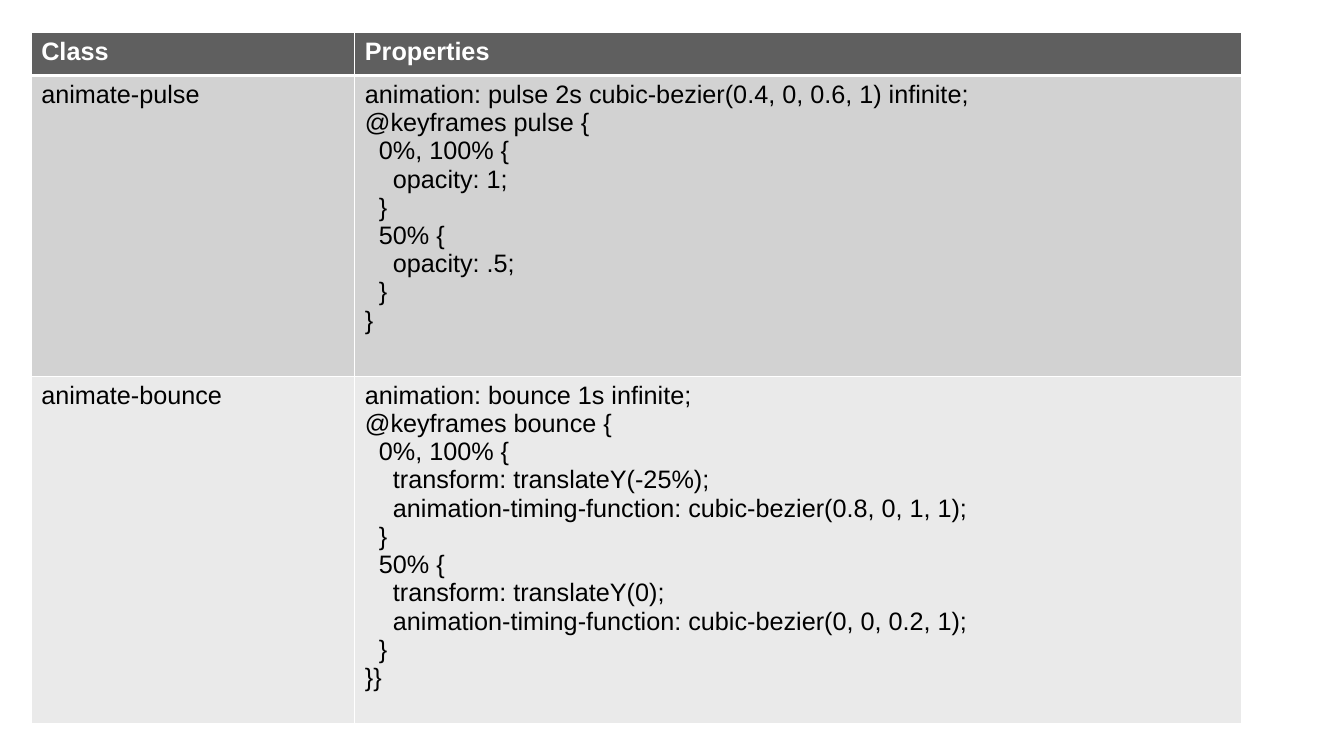
from dataclasses import dataclass

from lxml.etree import SubElement
from pptx import Presentation
from pptx.dml.color import RGBColor
from pptx.oxml.ns import qn
from pptx.util import Inches, Pt


@dataclass(frozen=True)
class Theme:
    """Colours and type sizes of the deck."""
    font: str = "Arial"
    size: int = 18
    header_text: str = "FFFFFF"
    body_text: str = "000000"
    border: str = "FFFFFF"
    header_fill: str = "5F5F5F"
    band_fills: tuple = ("D2D2D2", "EAEAEA")
    thin: int = 1
    thick: int = 3


THEME = Theme()
HEADINGS = ("Class", "Properties")
PULSE = """animation: pulse 2s cubic-bezier(0.4, 0, 0.6, 1) infinite;
@keyframes pulse {
  0%, 100% {
    opacity: 1;
  }
  50% {
    opacity: .5;
  }
}"""
BOUNCE = """animation: bounce 1s infinite;
@keyframes bounce {
  0%, 100% {
    transform: translateY(-25%);
    animation-timing-function: cubic-bezier(0.8, 0, 1, 1);
  }
  50% {
    transform: translateY(0);
    animation-timing-function: cubic-bezier(0, 0, 0.2, 1);
  }
}}"""
ANIMATIONS = (("animate-pulse", PULSE), ("animate-bounce", BOUNCE))
COLUMN_WIDTHS = (3.21, 8.79)
ROW_HEIGHTS = (0.43, 2.99, 3.45)


def set_borders(cell, top, bottom):
    """Draw the four borders of a cell, with widths in points for top and bottom."""
    properties = cell._tc.get_or_add_tcPr()
    widths = {"lnL": THEME.thin, "lnR": THEME.thin, "lnT": top, "lnB": bottom}
    for side, width in widths.items():
        line = SubElement(properties, qn(f"a:{side}"), w=str(Pt(width)))
        fill = SubElement(line, qn("a:solidFill"))
        SubElement(fill, qn("a:srgbClr"), val=THEME.border)


def fill_cell(cell, text, row_number):
    """Write and style one cell according to its row."""
    is_header = row_number == 0
    set_borders(
        cell,
        THEME.thick if row_number == 1 else THEME.thin,
        THEME.thick if is_header else THEME.thin,
    )
    background = THEME.header_fill if is_header else THEME.band_fills[row_number - 1]
    cell.fill.solid()
    cell.fill.fore_color.rgb = RGBColor.from_string(background)
    cell.text_frame.text = text
    colour = THEME.header_text if is_header else THEME.body_text
    for para in cell.text_frame.paragraphs:
        for span in para.runs:
            span.font.name = THEME.font
            span.font.size = Pt(THEME.size)
            span.font.bold = is_header
            span.font.color.rgb = RGBColor.from_string(colour)


def add_animation_table(page, left, top, width, height):
    """Place the table of animation classes in the given box."""
    rows = (HEADINGS, *ANIMATIONS)
    table = page.shapes.add_table(
        len(rows), len(HEADINGS), left, top, width, height
    ).table
    for column, share in zip(table.columns, COLUMN_WIDTHS):
        column.width = int(width * share / sum(COLUMN_WIDTHS))
    for row, share in zip(table.rows, ROW_HEIGHTS):
        row.height = int(height * share / sum(ROW_HEIGHTS))
    for row_number, texts in enumerate(rows):
        for column_number, text in enumerate(texts):
            fill_cell(table.cell(row_number, column_number), text, row_number)


def main():
    """Build and save the deck."""
    deck = Presentation()
    deck.slide_width, deck.slide_height = Inches(13.33), Inches(7.5)
    page = deck.slides.add_slide(deck.slide_layouts[6])
    add_animation_table(page, Inches(0.31), Inches(0.32), Inches(12), Inches(6.86))
    deck.save("out.pptx")


if __name__ == "__main__":
    main()
